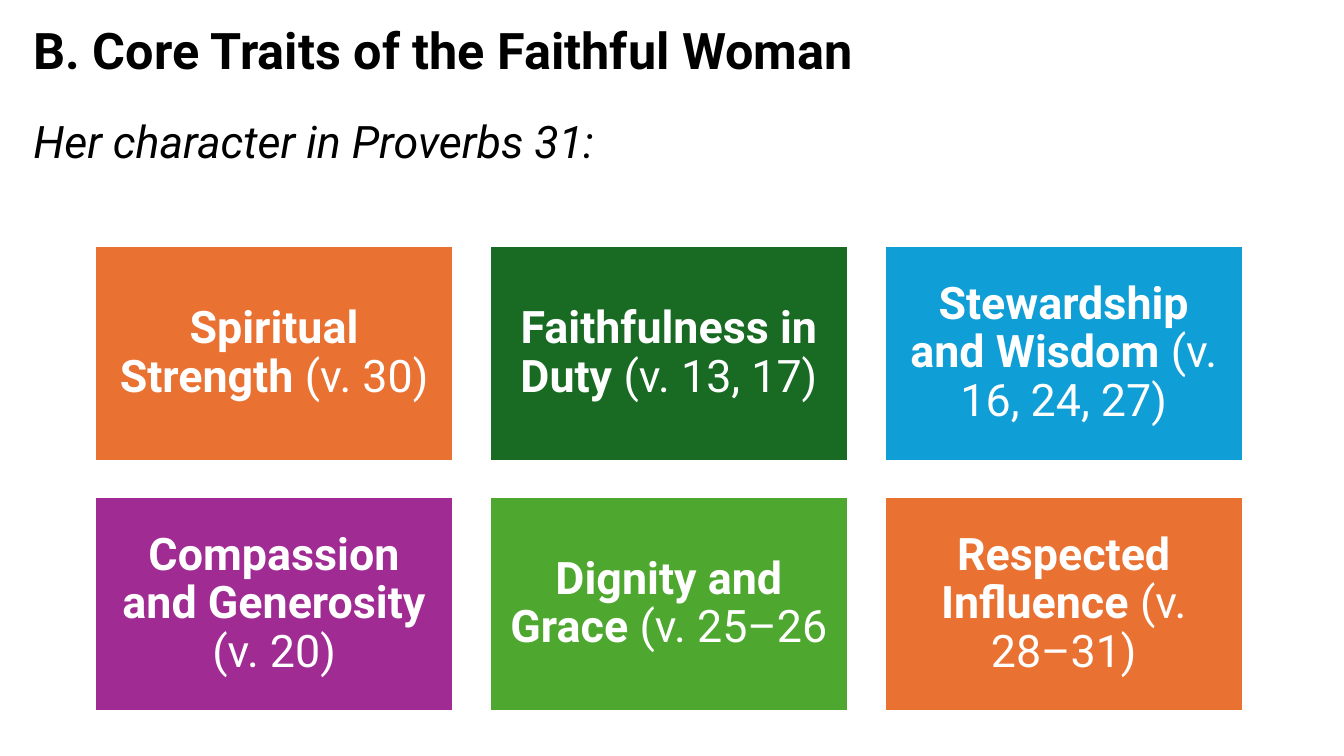
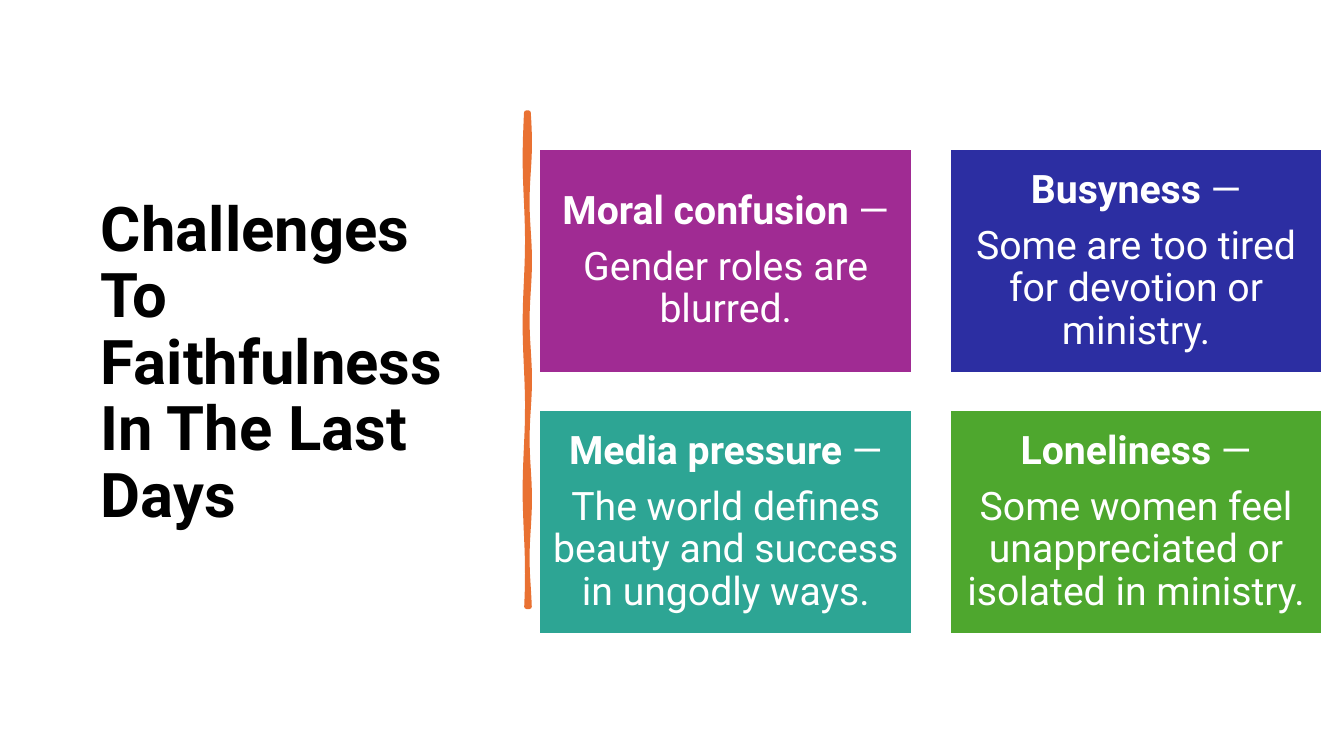
from dataclasses import dataclass
from math import sin

from lxml.etree import SubElement
from pptx import Presentation
from pptx.dml.color import RGBColor
from pptx.enum.shapes import MSO_SHAPE as Preset
from pptx.enum.text import MSO_ANCHOR as Anchor, MSO_AUTO_SIZE as AutoSize, PP_ALIGN as Align
from pptx.oxml.ns import qn
from pptx.util import Cm, Pt

FONT = "Roboto"
BLACK, WHITE = "000000", "FFFFFF"
ORANGE, FOREST, SKY = "E97132", "196B24", "0F9ED5"
PURPLE, GREEN, INDIGO, TEAL = "A02B93", "4EA72E", "2C2EA2", "2DA594"


@dataclass(frozen=True)
class Run:
    text: str
    bold: bool = False
    italic: bool = False


@dataclass(frozen=True)
class Card:
    fill: str
    paragraphs: list[list[Run]]


@dataclass(frozen=True)
class Grid:
    """Card layout; lengths in centimetres, text size in points."""
    left: float
    top: float
    width: float
    height: float
    gap: float
    columns: int
    inset: float
    size: int


def trait(name: str, verses: str, fill: str) -> Card:
    return Card(fill, [[Run(name, bold=True), Run(f" ({verses}")]])


def challenge(name: str, effect: str, fill: str) -> Card:
    return Card(fill, [[Run(name, bold=True), Run(" —")], [Run(effect)]])


TRAITS = [
    trait("Spiritual Strength", "v. 30)", ORANGE),
    trait("Faithfulness in Duty", "v. 13, 17)", FOREST),
    trait("Stewardship and Wisdom", "v. 16, 24, 27)", SKY),
    trait("Compassion and Generosity", "v. 20)", PURPLE),
    trait("Dignity and Grace", "v. 25–26", GREEN),
    trait("Respected Influence", "v. 28–31)", ORANGE),
]
CHALLENGES = [
    challenge("Moral confusion", "Gender roles are blurred.", PURPLE),
    challenge("Busyness", "Some are too tired for devotion or ministry.", INDIGO),
    challenge("Media pressure", "The world defines beauty and success in ungodly ways.", TEAL),
    challenge("Loneliness", "Some women feel unappreciated or isolated in ministry.", GREEN),
]
TRAIT_GRID = Grid(2.39, 6.2, 9.04, 5.41, 0.91, columns=3, inset=0.34, size=32)
CHALLENGE_GRID = Grid(13.59, 3.76, 9.4, 5.64, 0.94, columns=2, inset=0.3, size=28)


def rgb(code: str) -> RGBColor:
    return RGBColor.from_string(code)


def write(shape, paragraphs: list[list[Run]], *, size: int, color: str = BLACK,
          align=Align.LEFT, inset: float | None = None, after: float = 0) -> None:
    """Fill a shape with formatted, vertically centred text."""
    frame = shape.text_frame
    frame.word_wrap = True
    frame.auto_size = AutoSize.NONE
    frame.vertical_anchor = Anchor.MIDDLE
    if inset is not None:
        frame.margin_left = frame.margin_right = Cm(inset)
        frame.margin_top = frame.margin_bottom = Cm(inset)
    for index, runs in enumerate(paragraphs):
        paragraph = frame.add_paragraph() if index else frame.paragraphs[0]
        paragraph.alignment = align
        paragraph.line_spacing = 0.9
        paragraph.space_before = Pt(0)
        paragraph.space_after = Pt(after)
        for part in runs:
            run = paragraph.add_run()
            run.text = part.text
            run.font.name = FONT
            run.font.size = Pt(size)
            run.font.bold = part.bold
            run.font.italic = part.italic
            run.font.color.rgb = rgb(color)


def add_title(slide, text: str, left: float, top: float, width: float,
              height: float, size: int) -> None:
    title = slide.shapes.title
    title.left, title.top = Cm(left), Cm(top)
    title.width, title.height = Cm(width), Cm(height)
    write(title, [[Run(text, bold=True)]], size=size)


def add_cards(slide, cards: list[Card], grid: Grid) -> None:
    for index, card in enumerate(cards):
        row, column = divmod(index, grid.columns)
        tile = slide.shapes.add_shape(
            Preset.RECTANGLE,
            Cm(grid.left + column * (grid.width + grid.gap)),
            Cm(grid.top + row * (grid.height + grid.gap)),
            Cm(grid.width), Cm(grid.height))
        tile.shadow.inherit = False
        tile.fill.solid()
        tile.fill.fore_color.rgb = rgb(card.fill)
        tile.line.color.rgb = rgb(WHITE)
        tile.line.width = Pt(1.5)
        write(tile, card.paragraphs, size=grid.size, color=WHITE,
              align=Align.CENTER, inset=grid.inset, after=grid.size * 0.35)


def add_brush_divider(slide, center: float, top: float, height: float) -> None:
    """Draw a vertical stroke whose two edges waver like a brush line."""
    steps = 60
    levels = [height * step / steps for step in range(steps + 1)]
    right = [(center + 0.03 + 0.03 * sin(2.1 * y), top + y) for y in levels]
    left = [(center - 0.03 + 0.03 * sin(1.5 * y + 3), top + y) for y in levels]
    start, *outline = [(Cm(x), Cm(y)) for x, y in right + left[::-1]]
    builder = slide.shapes.build_freeform(*start, scale=1.0)
    builder.add_line_segments(outline, close=True)
    divider = builder.convert_to_shape()
    divider.shadow.inherit = False
    divider.fill.solid()
    divider.fill.fore_color.rgb = rgb(ORANGE)
    divider.line.color.rgb = rgb(ORANGE)
    divider.line.width = Pt(3.25)
    SubElement(divider.line._get_or_add_ln(), qn("a:round"))


def main() -> None:
    deck = Presentation()
    deck.slide_width, deck.slide_height = Cm(33.87), Cm(19.05)
    title_only = deck.slide_layouts[5]

    # Core traits
    traits = deck.slides.add_slide(title_only)
    add_title(traits, "B. Core Traits of the Faithful Woman", 0.59, 0.48, 29.21, 1.73, size=36)
    add_cards(traits, TRAITS, TRAIT_GRID)
    subtitle = traits.shapes.add_textbox(Cm(0.59), Cm(2.77), Cm(29.21), Cm(1.73))
    write(subtitle, [[Run("Her character in Proverbs 31:", italic=True)]], size=32)

    # Challenges
    challenges = deck.slides.add_slide(title_only)
    add_title(challenges, "Challenges To Faithfulness In The Last Days",
              2.29, 1.63, 10, 15.09, size=44)
    add_brush_divider(challenges, center=13.29, top=2.84, height=12.45)
    add_cards(challenges, CHALLENGES, CHALLENGE_GRID)

    deck.save("out.pptx")


if __name__ == "__main__":
    main()
